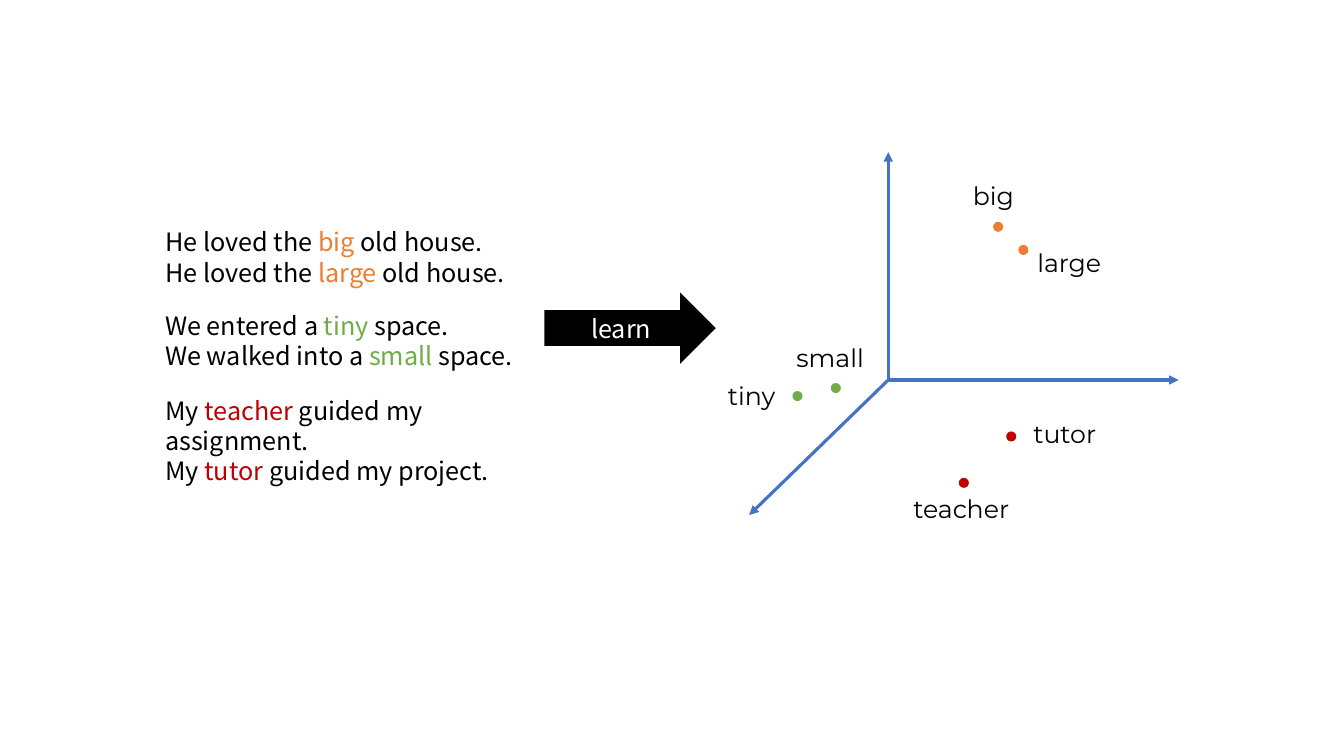
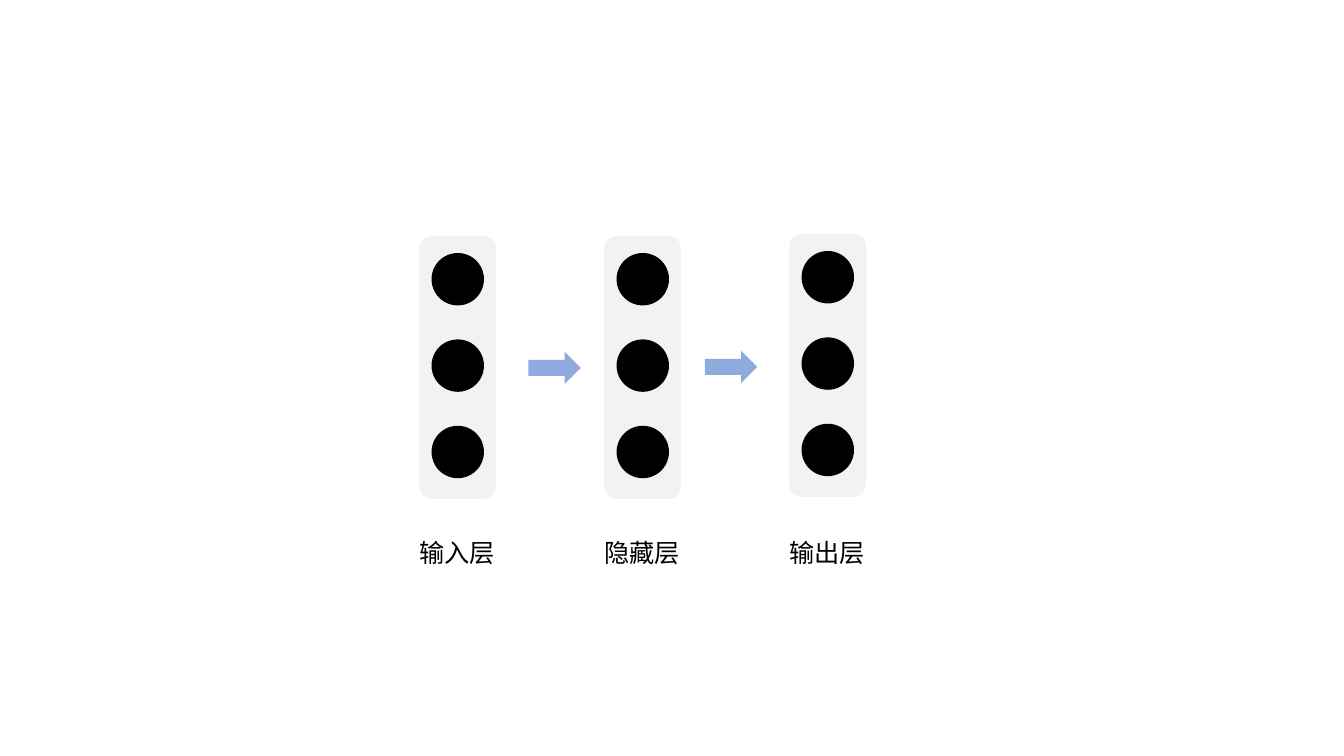
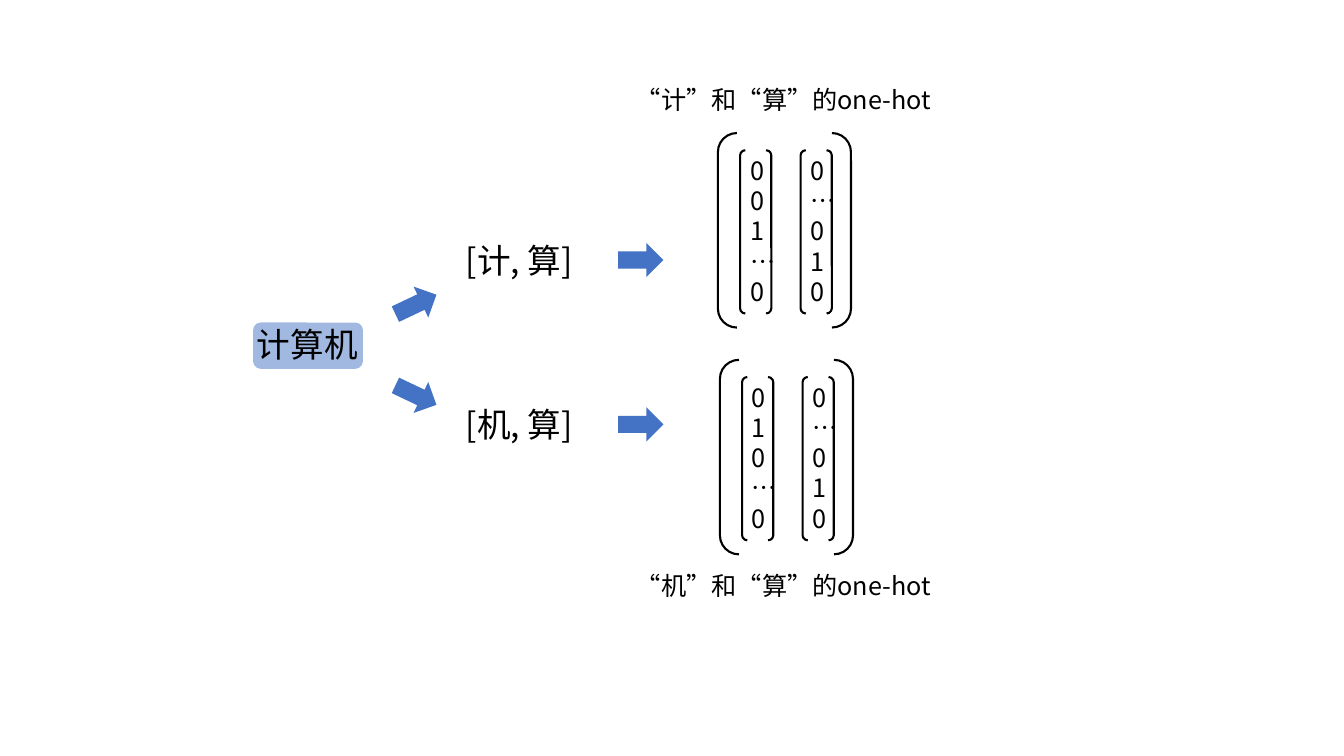
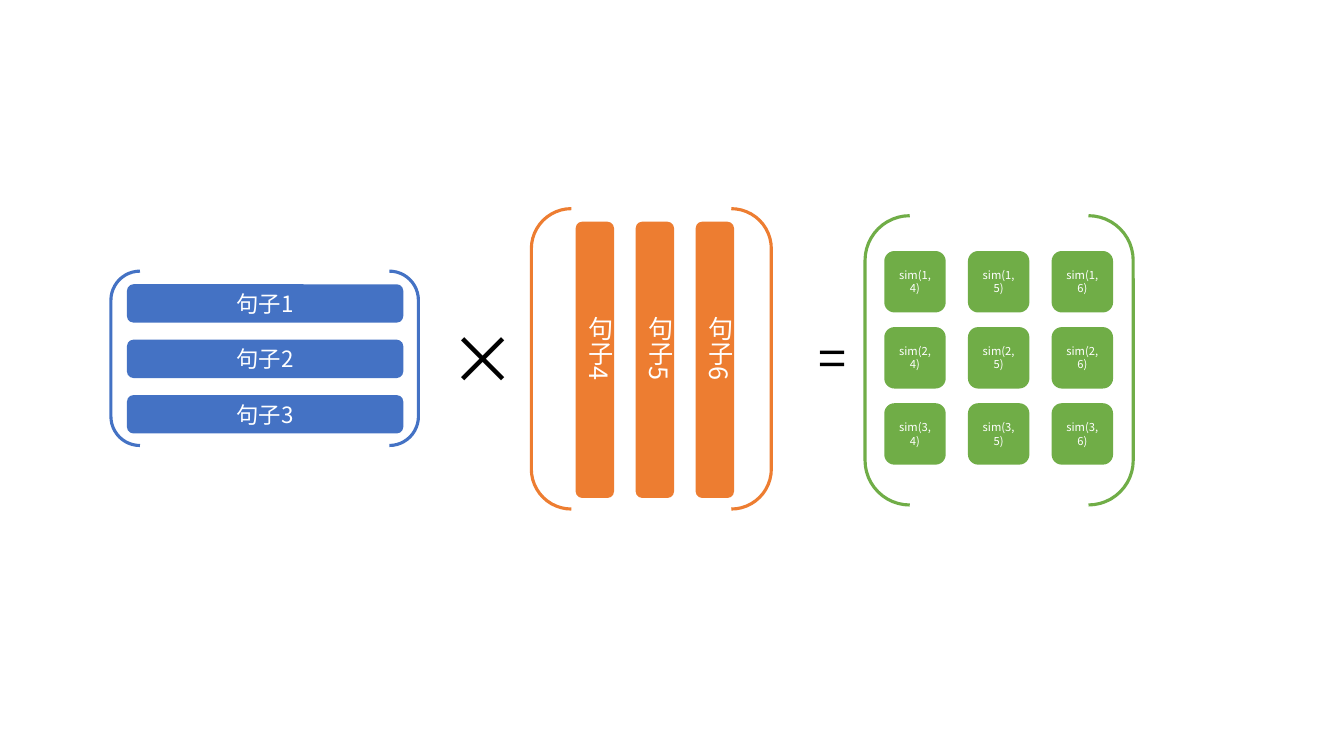
from pptx import Presentation, util as u
from pptx.dml.color import RGBColor
from pptx.enum import shapes, text
from pptx.oxml.ns import qn
from lxml import etree

SANS, MONT = "Noto Sans CJK SC", "Montserrat"
BLACK, WHITE, PALE = "000000", "FFFFFF", "F2F2F2"
BLUE, ORANGE, GREEN, RED, SKY = "4472C4", "ED7D31", "70AD47", "C00000", "8FAADC"
KIND = shapes.MSO_SHAPE
MID, JUST = text.PP_ALIGN.CENTER, text.PP_ALIGN.JUSTIFY

SAYINGS = [
    (ORANGE, 2.2, 3.59, ["He loved the *big* old house.", "He loved the *large* old house."]),
    (GREEN, 3.03, 4.09, ["We entered a *tiny *space.", "We walked into a *small* space."]),
    (RED, 3.87, 4.09, ["My *teacher* guided my assignment.", "My *tutor* guided my project."]),
]
ORIGIN = (8.81, 3.77)
TIPS = [(7.43, 5.11), (11.69, 3.77), (8.81, 1.51)]
WORDS = [
    ("big", ORANGE, (9.85, 2.2), (9.55, 1.74, 0.66)),
    ("large", ORANGE, (10.1, 2.43), (10.19, 2.4, 0.9)),
    ("tiny", GREEN, (7.86, 3.88), (7.12, 3.72, 0.78)),
    ("small", GREEN, (8.24, 3.8), (7.8, 3.35, 0.98)),
    ("teacher", RED, (9.51, 4.74), (8.96, 4.84, 1.29)),
    ("tutor", RED, (9.98, 4.28), (10.15, 4.1, 0.92)),
]
LAYERS = [("输入层", 2.34), ("隐藏层", 2.34), ("输出层", 2.32)]
FLOWS = [(5.24, 3.49), (6.99, 3.48)]
PAIRS = [
    ("[计, 算]", 2.33, -25.4, 2.85, 7.12, 1.32, "“计”和“算”的one-hot", 0.79, ["001…0", "0…010"]),
    ("[机, 算]", 3.96, 25.4, 3.75, 7.14, 3.57, "“机”和“算”的one-hot", 5.61, ["010…0", "0…010"]),
]
ROWS, COLS = [1, 2, 3], [4, 5, 6]

deck = Presentation()
deck.slide_width, deck.slide_height = u.Inches(13.33), u.Inches(7.5)


def page():
    return deck.slides.add_slide(deck.slide_layouts[6]).shapes


def tint(code):
    return RGBColor.from_string(code)


def box(at):
    return [u.Inches(v) for v in at]


def write(item, lines, size=18, font=SANS, color=BLACK, accent=BLACK, align=None):
    frame = item.text_frame
    frame.word_wrap = True
    for i, line in enumerate(lines):
        para = frame.paragraphs[0] if i == 0 else frame.add_paragraph()
        para.alignment = align
        for j, part in enumerate(line.split("*")):
            if part:
                run = para.add_run()
                run.text = part
                run.font.size, run.font.name = u.Pt(size), font
                run.font.color.rgb = tint(accent if j % 2 else color)
                etree.SubElement(run.font._element, qn("a:ea"), typeface=font)


def label(page, lines, *at, vert=None, **style):
    item = page.add_textbox(*box(at))
    write(item, lines, **style)
    item.text_frame.auto_size = text.MSO_AUTO_SIZE.SHAPE_TO_FIT_TEXT
    if vert:
        item.text_frame._txBody.bodyPr.set("vert", vert)


def shape(page, kind, *at, fill=None, line=None, width=1.5, turn=0, alpha=None, adj=None):
    item = page.add_shape(kind, *box(at))
    item.shadow.inherit = False
    item.rotation = turn
    if fill:
        item.fill.solid()
        item.fill.fore_color.rgb = tint(fill)
    else:
        item.fill.background()
    if line:
        item.line.color.rgb = tint(line)
        item.line.width = u.Pt(width)
    else:
        item.line.fill.background()
    if alpha:
        code = item._element.spPr.find(".//" + qn("a:srgbClr"))
        etree.SubElement(code, qn("a:alpha"), val=str(alpha * 1000))
    if adj:
        item.adjustments[0] = adj
    return item


def arrow(page, start, end):
    item = page.add_connector(shapes.MSO_CONNECTOR.STRAIGHT, *box(start + end))
    item.line.color.rgb = tint(BLUE)
    item.line.width = u.Pt(2.25)
    etree.SubElement(item.line._get_or_add_ln(), qn("a:tailEnd"), type="triangle")
    etree.SubElement(item._element.spPr, qn("a:effectLst"))


def space():
    here = page()
    for tip in TIPS:
        arrow(here, ORIGIN, tip)
    for word, color, dot, at in WORDS:
        shape(here, KIND.OVAL, *dot, 0.1, 0.1, fill=color)
        label(here, [word], *at, 0.4, font=MONT)
    for color, top, wide, lines in SAYINGS:
        label(here, lines, 1.54, top, wide, 0.71, accent=color)
    learn = shape(here, KIND.RIGHT_ARROW, 5.4, 2.9, 1.7, 0.71, fill=BLACK)
    write(learn, ["learn"], color=WHITE, align=MID)


def layers():
    here = page()
    for i, (name, top) in enumerate(LAYERS):
        left = 4.16 + i * 1.835
        shape(here, KIND.ROUNDED_RECTANGLE, left, top, 0.76, 2.61, fill=PALE)
        for j in range(3):
            shape(here, KIND.OVAL, left + 0.12, top + 0.17 + j * 0.857, 0.52, 0.52, fill=BLACK)
        label(here, [name], left - 0.1, 5.28, 0.96, 0.4)
    for left, top in FLOWS:
        shape(here, KIND.RIGHT_ARROW, left, top, 0.52, 0.32, fill=SKY)


def vectors():
    here = page()
    shape(here, KIND.ROUNDED_RECTANGLE, 2.51, 3.2, 1.09, 0.46, fill=BLUE, alpha=50)
    label(here, ["计算机"], 2.45, 3.16, 1.25, 0.5, size=24, align=JUST)
    for pair, top, turn, fork, left, high, note, head, digits in PAIRS:
        label(here, [pair], 4.52, top, 1.32, 0.5, size=24)
        shape(here, KIND.RIGHT_ARROW, 3.9, fork, 0.45, 0.34, fill=BLUE, turn=turn)
        shape(here, KIND.RIGHT_ARROW, 6.13, top + 0.08, 0.45, 0.34, fill=BLUE)
        for i, column in enumerate(digits):
            at = (left + 0.22 + i * 0.6, high + 0.17, 0.31, 1.62)
            label(here, column, *at)
            shape(here, KIND.DOUBLE_BRACKET, *at, line=BLACK)
        shape(here, KIND.DOUBLE_BRACKET, left, high, 1.32, 1.93, line=BLACK, adj=0.143)
        label(here, [note], 6.21, head, 3.16, 0.4)


def product():
    here = page()
    for i, row in enumerate(ROWS):
        bar = shape(here, KIND.ROUNDED_RECTANGLE, 1.26, 2.82 + i * 0.55, 2.74, 0.38, fill=BLUE)
        write(bar, [f"句子{row}"], size=16, color=WHITE, align=MID)
    for i, col in enumerate(COLS):
        left = 5.71 + i * 0.595
        shape(here, KIND.ROUNDED_RECTANGLE, left, 2.2, 0.38, 2.74, fill=ORANGE)
        label(here, [f"句子{col}"], left - 0.06, 3.04, 0.5, 1.07, vert="eaVert", color=WHITE)
    for i, row in enumerate(ROWS):
        for j, col in enumerate(COLS):
            at = (8.77 + j * 0.83, 2.49 + i * 0.755, 0.61, 0.61)
            cell = shape(here, KIND.ROUNDED_RECTANGLE, *at, fill=GREEN)
            write(cell, [f"sim({row},{col})"], size=8, color=WHITE, align=MID)
    for color, *at in [(BLUE, 1.1, 2.69, 3.05, 1.73), (ORANGE, 5.27, 2.07, 2.38, 2.98),
                       (GREEN, 8.58, 2.14, 2.66, 2.87)]:
        shape(here, KIND.DOUBLE_BRACKET, *at, line=color, width=2.25)
    label(here, ["×"], 4.36, 3.1, 0.66, 0.91, size=48)
    label(here, ["="], 8.02, 3.2, 0.56, 0.71, size=36)


for build in (space, layers, vectors, product):
    build()
deck.save("out.pptx")
